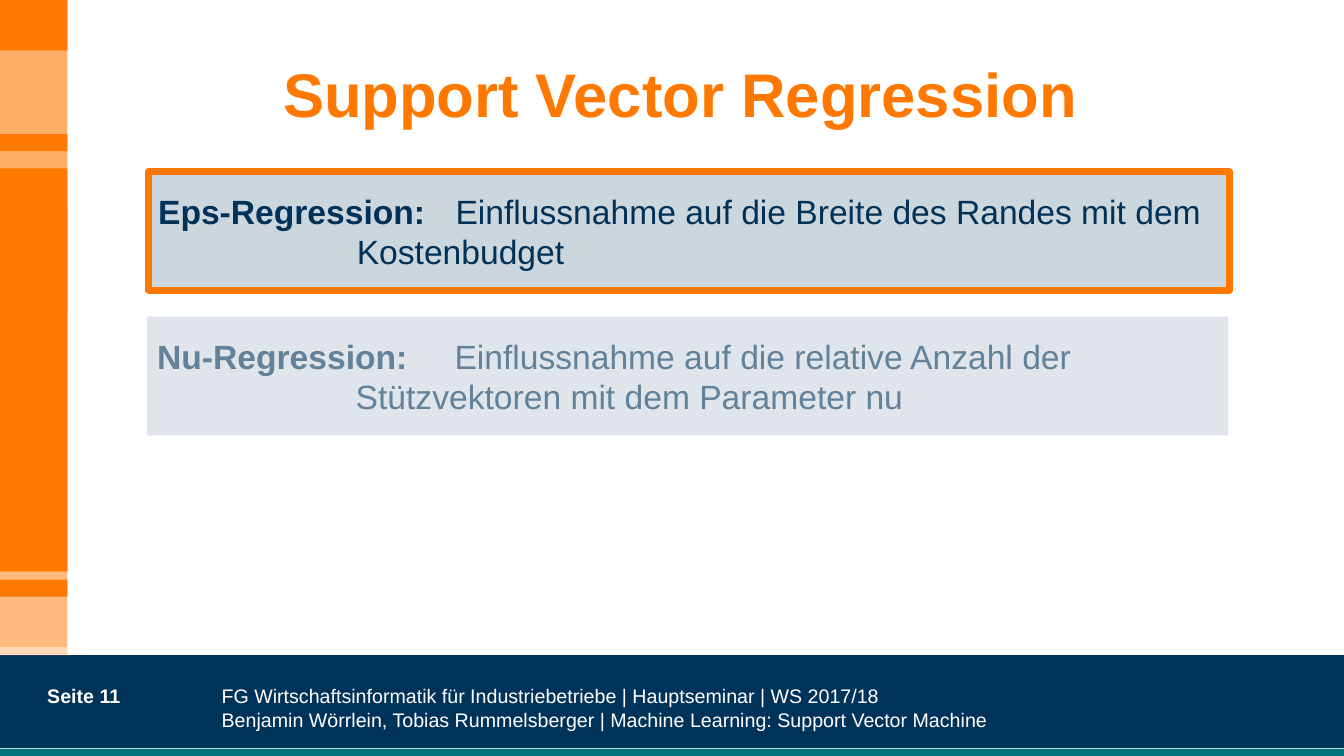
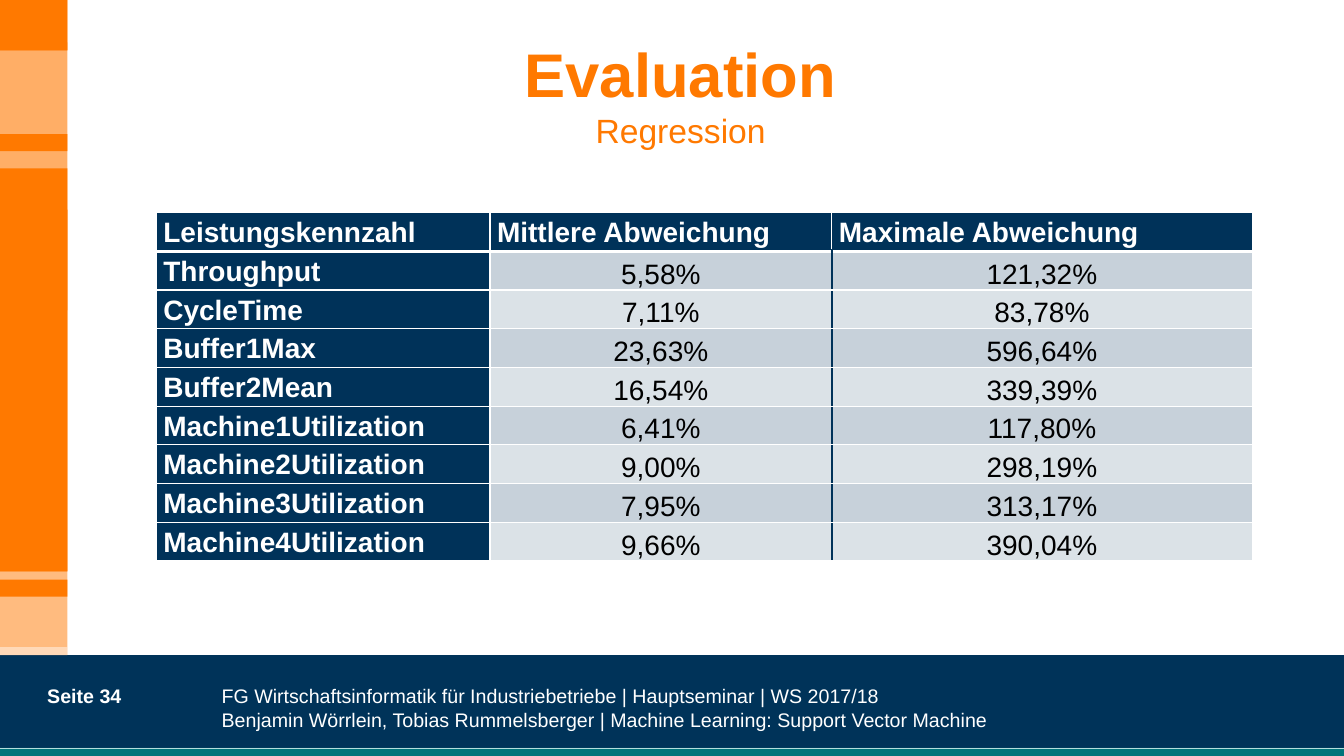
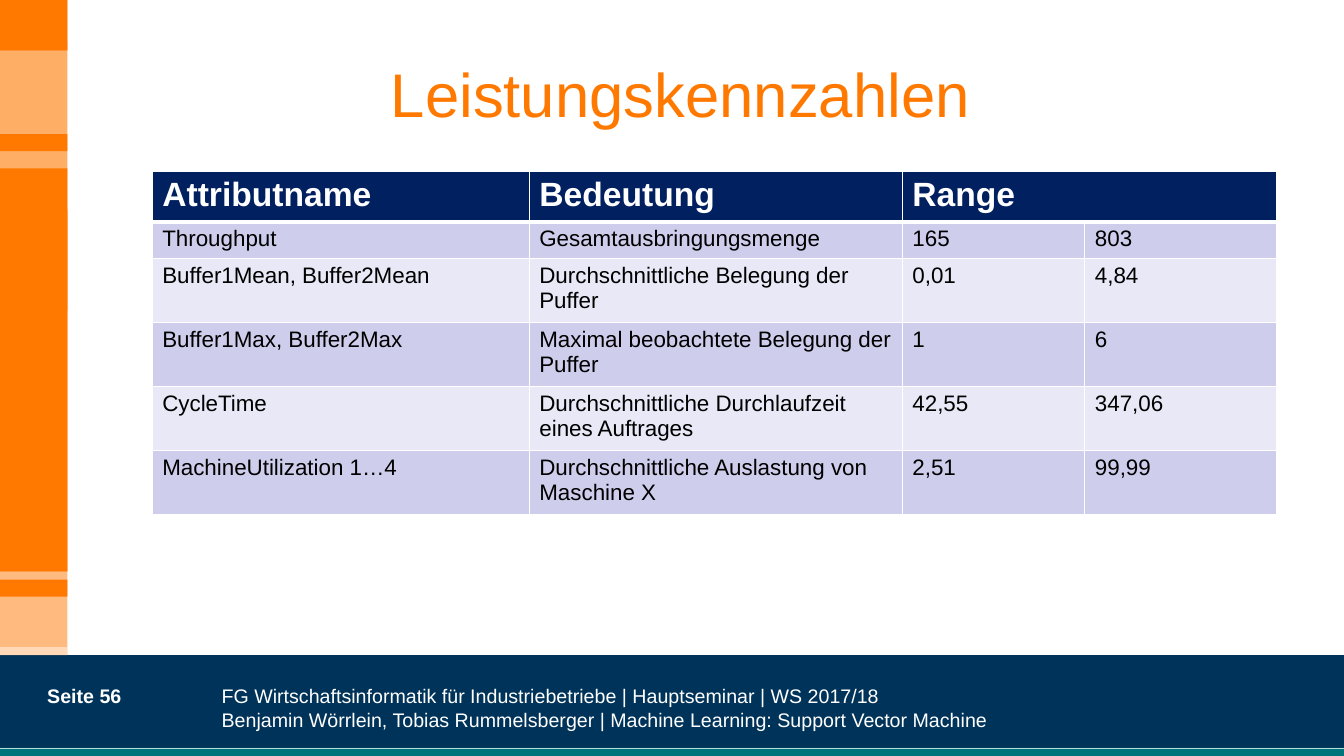
from pptx import Presentation
from pptx.dml.color import RGBColor
from pptx.enum.shapes import MSO_CONNECTOR, MSO_SHAPE
from pptx.enum.text import MSO_ANCHOR, MSO_AUTO_SIZE, PP_ALIGN
from pptx.oxml.ns import qn
from pptx.util import Inches, Pt
from lxml.etree import SubElement as Sub

COLORS = {
    "orange": "FF7900",
    "footer": "003359",
    "navy": "003259",
    "teal": "00747A",
    "mint": "B4DCDC",
    "white": "FFFFFF",
    "black": "000000",
    "header": "002060",
    "lilac": "CECEEC",
    "pale": "E8E8F6",
}
FONT = "Arial"
WIDTH, HEIGHT = 13.33, 7.5
STRIP = 0.67
BANDS = [
    (0, 0, STRIP, 5.67, "orange", 60),
    (0, 6.5, WIDTH, 1, "footer", 100),
    (0, 2.08, STRIP, 1, "orange", 100),
    (0, 3.08, STRIP, 3.42, "orange", 50),
    (0, 1.67, STRIP, 4, "orange", 100),
    (0, 0.42, STRIP, 0.08, "orange", 50),
    (0, 6.42, STRIP, 0.08, "white", 45),
    (0, 7.42, WIDTH, 0.08, "teal", 100),
    (0, 0, STRIP, 0.5, "orange", 100),
    (0, 1.33, STRIP, 0.17, "orange", 100),
    (0, 5.75, STRIP, 0.17, "orange", 100),
]
FOOTER = (
    "FG Wirtschaftsinformatik für Industriebetriebe | Hauptseminar | WS 2017/18\v"
    "Benjamin Wörrlein, Tobias Rummelsberger | Machine Learning: Support Vector Machine"
)
DEVIATIONS = [
    ("Leistungskennzahl", "Mittlere Abweichung", "Maximale Abweichung"),
    ("Throughput", "5,58%", "121,32%"),
    ("CycleTime", "7,11%", "83,78%"),
    ("Buffer1Max", "23,63%", "596,64%"),
    ("Buffer2Mean", "16,54%", "339,39%"),
    ("Machine1Utilization", "6,41%", "117,80%"),
    ("Machine2Utilization", "9,00%", "298,19%"),
    ("Machine3Utilization", "7,95%", "313,17%"),
    ("Machine4Utilization", "9,66%", "390,04%"),
]
INDICATORS = [
    ("Attributname", "Bedeutung", "Range", ""),
    ("Throughput", "Gesamtausbringungsmenge", "165", "803"),
    ("Buffer1Mean, Buffer2Mean", "Durchschnittliche Belegung der Puffer", "0,01", "4,84"),
    ("Buffer1Max, Buffer2Max", "Maximal beobachtete Belegung der Puffer", "1", "6"),
    ("CycleTime", "Durchschnittliche Durchlaufzeit eines Auftrages", "42,55", "347,06"),
    ("MachineUtilization 1…4", "Durchschnittliche Auslastung von Maschine X", "2,51", "99,99"),
]


def rgb(color):
    return RGBColor.from_string(COLORS[color])


def paint(fill, color, opacity=100):
    fill.solid()
    fill.fore_color.rgb = rgb(color)
    if opacity < 100:
        srgb = fill._xPr.find(".//" + qn("a:srgbClr"))
        Sub(srgb, qn("a:alpha"), val=str(opacity * 1000))


def style(paragraph, size, color, bold=False, align=PP_ALIGN.LEFT):
    paragraph.alignment = align
    font = paragraph.font
    font.name, font.size, font.bold = FONT, Pt(size), bold
    font.color.rgb = rgb(color)


def add_block(slide, left, top, width, height, color, opacity):
    block = slide.shapes.add_shape(
        MSO_SHAPE.RECTANGLE, Inches(left), Inches(top), Inches(width), Inches(height))
    block.shadow.inherit = False
    block.line.fill.background()
    paint(block.fill, color, opacity)
    return block


def add_label(slide, left, top, width, height, text, bold=False):
    label = slide.shapes.add_textbox(
        Inches(left), Inches(top), Inches(width), Inches(height))
    label.text_frame.word_wrap = True
    label.text_frame.text = text
    style(label.text_frame.paragraphs[0], 14, "white", bold)


def decorate_layout(layout, slide):
    decorations = [add_block(slide, *band) for band in BANDS]
    edge = slide.shapes.add_connector(
        MSO_CONNECTOR.STRAIGHT, Inches(0), Inches(7.42), Inches(WIDTH), Inches(7.42))
    edge.line.color.rgb = rgb("mint")
    edge.line.width = Pt(0.25)
    Sub(edge.element.spPr, qn("a:effectLst"))
    for index, decoration in enumerate(decorations + [edge]):
        decoration.element.xpath("*/p:cNvPr")[0].set("id", str(100 + index))
        layout.shapes.element.insert(2 + index, decoration.element)


def place_title(layout):
    title = layout.placeholders[0]
    title.left, title.top = Inches(0.84), Inches(0.14)
    title.width, title.height = Inches(11.82), Inches(1.57)


def add_page(deck, layout, number, heading, bold=True, subheading=None):
    slide = deck.slides.add_slide(layout)
    frame = slide.shapes.title.text_frame
    frame.auto_size = MSO_AUTO_SIZE.NONE
    frame.vertical_anchor = MSO_ANCHOR.MIDDLE
    paragraph = frame.paragraphs[0]
    style(paragraph, 44, "orange", bold, PP_ALIGN.CENTER)
    paragraph.add_run().text = heading
    if subheading:
        paragraph.add_line_break()
        second = paragraph.add_run()
        second.text = subheading
        second.font.size, second.font.bold = Pt(24), False
    add_label(slide, 2.1, 6.74, 7.97, 0.7, FOOTER)
    add_label(slide, 0.37, 6.74, 1.7, 0.4, f"Seite {number}", True)
    return slide


def add_definition(slide, left, top, width, height, term, lines, active):
    panel = add_block(slide, left, top, width, height, "navy", 20)
    frame = panel.text_frame
    frame.word_wrap = True
    frame.vertical_anchor = MSO_ANCHOR.MIDDLE
    paragraph = frame.paragraphs[0]
    stops = Sub(paragraph._p.get_or_add_pPr(), qn("a:tabLst"))
    for stop in (1.97, 2.95):
        Sub(stops, qn("a:tab"), pos=str(Inches(stop)), algn="l")
    style(paragraph, 24, "navy")
    name = paragraph.add_run()
    name.text = term
    name.font.bold = True
    for index, line in enumerate(lines):
        if index:
            paragraph.add_line_break()
        paragraph.add_run().text = "\t" + line
    if active:
        panel.line.color.rgb = rgb("orange")
        panel.line.width = Pt(5)
    else:
        add_block(slide, left, top, width, height, "white", 39)


def set_borders(cell, **sides):
    properties = cell._tc.get_or_add_tcPr()
    for index, side in enumerate("LRTB"):
        color, width = sides.get(side, ("white", 1))
        line = properties.makeelement(qn("a:ln" + side), {"w": str(Pt(width))})
        Sub(Sub(line, qn("a:solidFill")), qn("a:srgbClr"), val=COLORS[color])
        properties.insert(index, line)


def add_grid(slide, left, top, widths, heights, rows, format_cell):
    table = slide.shapes.add_table(
        len(rows), len(widths), Inches(left), Inches(top),
        Inches(sum(widths)), Inches(sum(heights))).table
    table.horz_banding = False
    for column, width in zip(table.columns, widths):
        column.width = Inches(width)
    for r, (values, height) in enumerate(zip(rows, heights)):
        table.rows[r].height = Inches(height)
        for c, value in enumerate(values):
            cell = table.cell(r, c)
            cell.text = value
            sides = format_cell(cell, cell.text_frame.paragraphs[0], r, c)
            if r == 0:
                sides["B"] = ("white", 3)
            elif r == 1:
                sides["T"] = ("white", 3)
            set_borders(cell, **sides)
    return table


def format_deviation(cell, paragraph, r, c):
    cell.margin_left = cell.margin_right = Inches(0.07)
    cell.margin_top = cell.margin_bottom = 0
    paragraph.line_spacing = 1.15
    if r == 0 or c == 0:
        style(paragraph, 20, "white", True, PP_ALIGN.JUSTIFY)
        paint(cell.fill, "navy")
        return {}
    cell.vertical_anchor = MSO_ANCHOR.BOTTOM
    style(paragraph, 20, "black", align=PP_ALIGN.CENTER)
    paint(cell.fill, "navy", 22 if r % 2 else 14)
    return {"R" if c == 1 else "L": ("navy", 1.5)}


def format_indicator(cell, paragraph, r, c):
    if r == 0:
        style(paragraph, 24, "white", True)
        paint(cell.fill, "header")
    else:
        style(paragraph, 16, "black")
        paint(cell.fill, "lilac" if r % 2 else "pale")
    return {}


def main():
    deck = Presentation()
    deck.slide_width, deck.slide_height = Inches(WIDTH), Inches(HEIGHT)
    layout = deck.slide_layouts[5]
    place_title(layout)

    regression = add_page(deck, layout, 11, "Support Vector Regression")
    decorate_layout(layout, regression)
    add_definition(
        regression, 1.47, 1.7, 10.72, 1.18, "Eps-Regression:",
        ["Einflussnahme auf die Breite des Randes mit dem", "Kostenbudget"], True)
    add_definition(
        regression, 1.46, 3.14, 10.72, 1.18, "Nu-Regression:",
        ["Einflussnahme auf die relative Anzahl der",
         "Stützvektoren mit dem Parameter nu"], False)

    evaluation = add_page(deck, layout, 34, "Evaluation", subheading="Regression")
    add_grid(evaluation, 1.55, 2.11, [3.31, 3.39, 4.17], [0.35] * len(DEVIATIONS),
             DEVIATIONS, format_deviation)

    indicators = add_page(deck, layout, 56, "Leistungskennzahlen", bold=False)
    ranges = add_grid(indicators, 1.51, 1.7, [3.74, 3.7, 1.81, 1.9],
                      [0.46, 0.34] + [0.59] * 4, INDICATORS, format_indicator)
    ranges.cell(0, 2).merge(ranges.cell(0, 3))

    deck.save("out.pptx")


if __name__ == "__main__":
    main()
